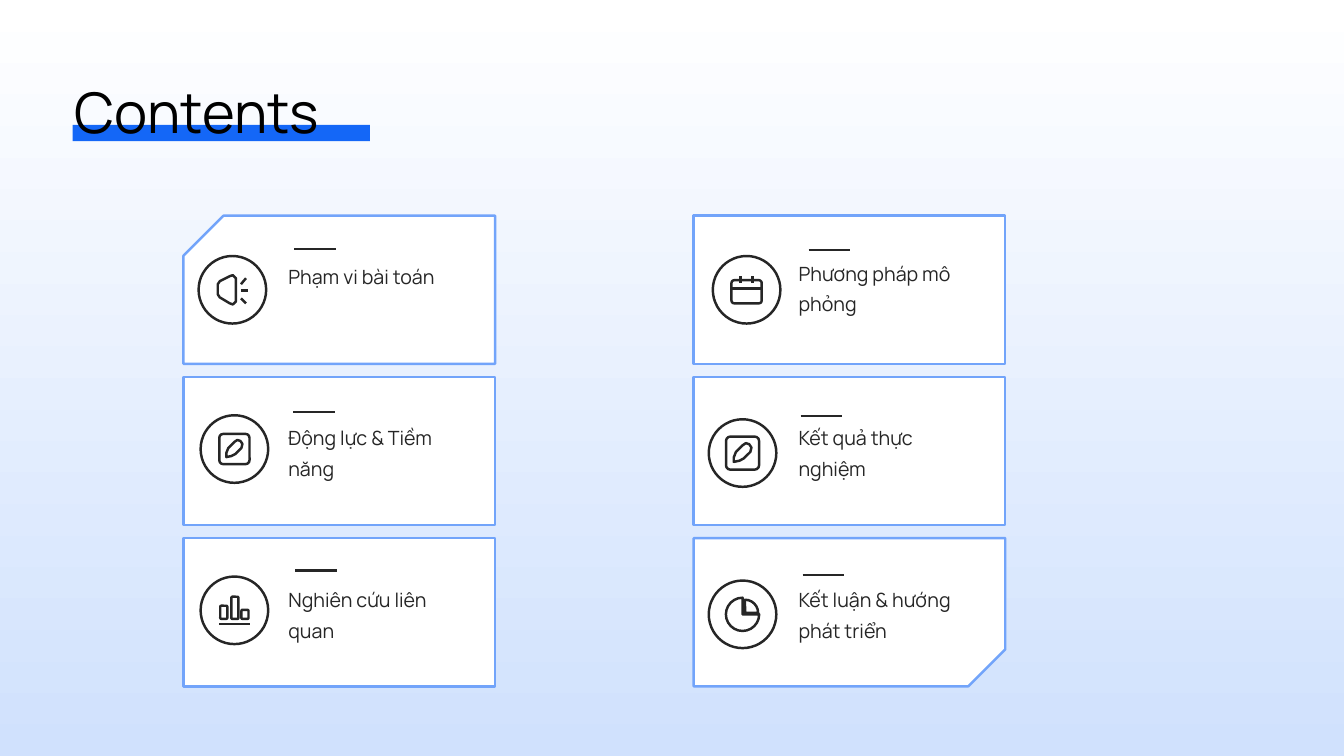
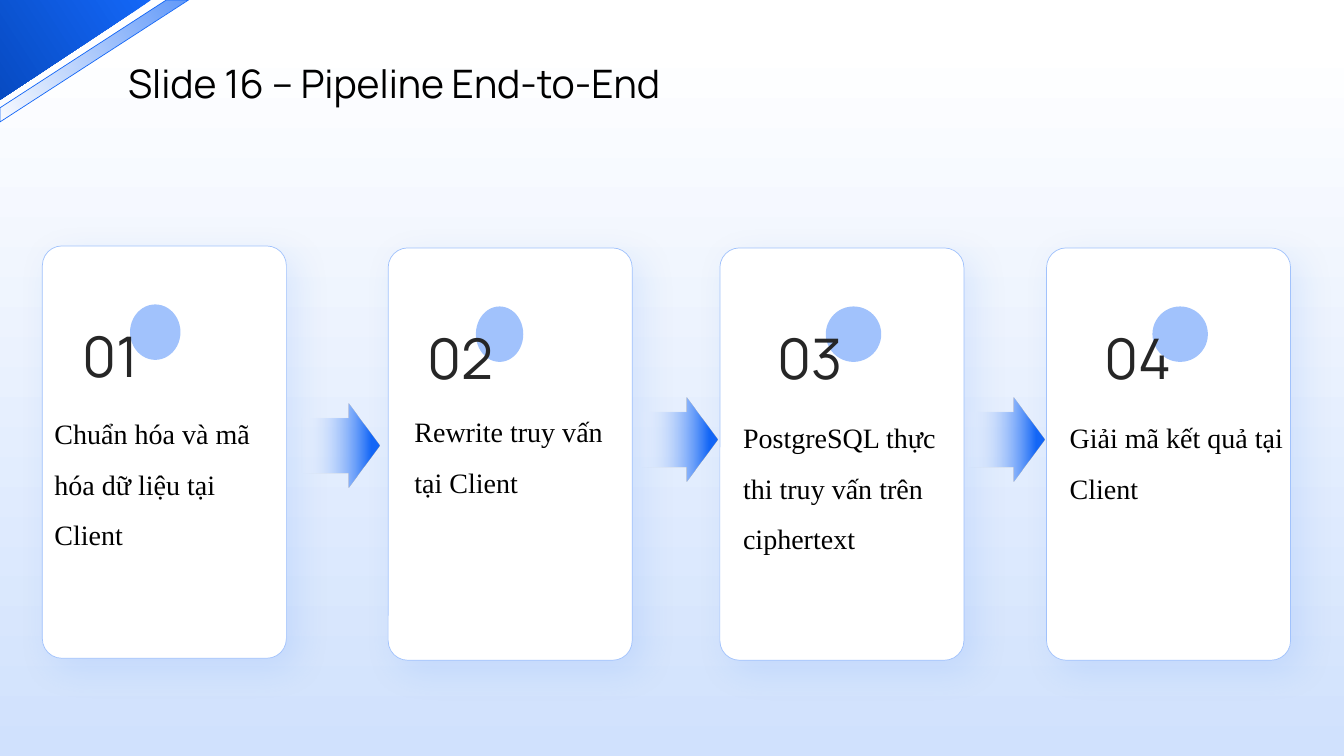
from lxml.etree import SubElement
from pptx import Presentation
from pptx.dml.color import RGBColor
from pptx.enum.shapes import MSO_CONNECTOR as Link, MSO_SHAPE as Preset
from pptx.enum.text import MSO_ANCHOR as Anchor
from pptx.oxml import parse_xml
from pptx.oxml.ns import nsdecls, qn
from pptx.util import Emu, Pt

# Shared look
EMU_PER_PX = 9144  # 100 px to the inch
PAGE_WIDTH, PAGE_HEIGHT = 1333, 750
WHITE = RGBColor(0xFF, 0xFF, 0xFF)
BLACK = RGBColor(0x00, 0x00, 0x00)
INK = RGBColor(0x26, 0x26, 0x26)
BLUE = RGBColor(0x14, 0x67, 0xF7)
DEEP_BLUE = RGBColor(0x07, 0x4B, 0xC2)
CARD_BLUE = RGBColor(0x72, 0xA4, 0xFA)
SOFT_BLUE = RGBColor(0xA1, 0xC2, 0xFC)
PALE_BLUE = RGBColor(0xD0, 0xE1, 0xFD)
SANS, SERIF = "Manrope", "Times New Roman"

# Contents cards
CARD_WIDTH, CARD_HEIGHT = 309, 147
COLUMN_LEFTS = (182, 688)
FIRST_ROW, ROW_STEP = 214, 160
BADGE = 67
# column, row, label, icon, icon width, offsets of badge and rule, label top and height
CONTENTS = [
    (0, 0, "Phạm vi bài toán", "megaphone", 33, (15, 40), (110, 33), 44, 25),
    (0, 1, "Động lực & Tiềm năng", "pencil", 32, (17, 38), (109, 35), 47, 50),
    (0, 2, "Nghiên cứu liên quan", "bars", 32, (17, 38), (111, 32), 48, 50),
    (1, 0, "Phương pháp mô phỏng", "calendar", 32, (19, 40), (114, 34), 44, 50),
    (1, 1, "Kết quả thực nghiệm", "pencil", 35, (15, 42), (106, 39), 47, 50),
    (1, 2, "Kết luận & hướng phát triển", "pie", 35, (15, 42), (108, 36), 48, 50),
]
# Cut corners by column and row: flip and share of the card height
CUT_CORNERS = {(0, 0): ("flipH", 0.27), (1, 2): ("flipV", 0.25)}

# Icons: grid width, grid height, strokes
ICONS = {
    "megaphone": (33, 31, [
        ("outline", (2, 10), (4, 7), (14, 2), (17, 1), (20, 4), (20, 27),
         (17, 30), (14, 29), (4, 23), (2, 20)),
        ("stroke", (25, 10), (30, 4)),
        ("stroke", (25, 16), (32, 16)),
        ("stroke", (25, 24), (30, 29))]),
    "pencil": (32, 32, [
        ("round", (1, 1), (30, 30), 0.13),
        ("outline", (8, 24), (8, 20), (10, 15), (16, 9), (19, 7), (22, 8),
         (24, 11), (23, 15), (17, 21), (13, 23))]),
    "bars": (32, 29, [
        ("round", (2, 10), (7, 13), 0.15),
        ("round", (13, 1), (7, 22), 0.15),
        ("round", (23, 14), (7, 9), 0.15),
        ("stroke", (1, 28), (31, 28))]),
    "calendar": (32, 29, [
        ("round", (1, 5), (30, 23), 0.12),
        ("stroke", (1, 13), (31, 13)),
        ("stroke", (10, 1), (10, 8)),
        ("stroke", (22, 1), (22, 8))]),
    "pie": (35, 35, [
        ("pie", (1, 1), (33, 33), 0, 162),
        ("pie", (7, 3), (26, 26), 162, 0)]),
}

# Pipeline cards: card corner, disc left and width, number left, text offset and width
STEP_WIDTH, STEP_HEIGHT = 242, 409
STEPS = [
    ((42, 244), 87, 50, 40, (12, 153), 211, "Chuẩn hóa và mã hóa dữ liệu tại Client"),
    ((385, 246), 87, 47, 39, (26, 149), 205, "Rewrite truy vấn tại Client"),
    ((714, 246), 105, 55, 57, (23, 155), 214, "PostgreSQL thực thi truy vấn trên ciphertext"),
    ((1038, 246), 105, 55, 57, (23, 155), 214, "Giải mã kết quả tại Client"),
]
ARROW_CORNERS = [(290, 401), (626, 395), (950, 395)]


def px(length):
    return Emu(round(length * EMU_PER_PX))


def paint(shape, fill=None, line=None, width=1.75):
    shape.shadow.inherit = False
    if fill is None:
        shape.fill.background()
    else:
        shape.fill.solid()
        shape.fill.fore_color.rgb = fill
    if line is None:
        shape.line.fill.background()
    else:
        shape.line.color.rgb = line
        shape.line.width = Pt(width)
    return shape


def add_preset(page, preset, left, top, width, height, fill=None, line=None, weight=1.75):
    shape = page.shapes.add_shape(preset, px(left), px(top), px(width), px(height))
    return paint(shape, fill, line, weight)


def add_outline(page, points, fill=None, line=None, weight=1.75):
    start, *others = [(px(x), px(y)) for x, y in points]
    builder = page.shapes.build_freeform(*start)
    builder.add_line_segments(others, close=True)
    return paint(builder.convert_to_shape(), fill, line, weight)


def add_stroke(page, start, end, weight=1.75):
    stroke = page.shapes.add_connector(Link.STRAIGHT, *map(px, (*start, *end)))
    stroke.line.color.rgb = INK
    stroke.line.width = Pt(weight)
    SubElement(stroke._element.spPr, qn("a:effectLst"))


def add_text(page, left, top, width, height, text, size, color,
             font=SANS, spacing=1.1, anchor=Anchor.MIDDLE):
    box = page.shapes.add_textbox(px(left), px(top), px(width), px(height))
    frame = box.text_frame
    frame.word_wrap = True
    frame.vertical_anchor = anchor
    frame.margin_left = frame.margin_right = frame.margin_top = frame.margin_bottom = 0
    frame.text = text
    para = frame.paragraphs[0]
    para.line_spacing = spacing
    span = para.runs[0].font
    span.name, span.size, span.color.rgb = font, Pt(size), color


def set_gradient(fill, element, stops, angle):
    """Each stop is (position, colour, opacity), all shares of 1; angle is clockwise."""
    fill.gradient()
    fill.gradient_angle = (360 - angle) % 360
    marks = element.xpath(".//a:gradFill/a:gsLst/a:gs")
    for stop, mark, (position, color, opacity) in zip(fill.gradient_stops, marks, stops):
        stop.position = position
        stop.color.rgb = color
        if opacity < 1:
            SubElement(mark[0], qn("a:alpha"), val=str(round(opacity * 100000)))


def add_soft_shadow(shape):
    effects = shape._element.spPr.find(qn("a:effectLst"))
    effects.append(parse_xml(
        f'<a:outerShdw {nsdecls("a")} blurRad="{Pt(25)}" dist="{Pt(10)}" dir="2700000" '
        f'algn="tl" rotWithShape="0"><a:srgbClr val="{BLUE}"><a:alpha val="10000"/>'
        '</a:srgbClr></a:outerShdw>'))


def add_page(deck, gradient_start=0.0):
    page = deck.slides.add_slide(deck.slide_layouts[6])
    set_gradient(page.background.fill, page._element,
                 [(gradient_start, WHITE, 1), (1, PALE_BLUE, 1)], 90)
    return page


def draw_icon(page, name, left, top, unit):
    def place(point):
        return left + point[0] * unit, top + point[1] * unit

    for kind, *parts in ICONS[name][2]:
        if kind == "stroke":
            add_stroke(page, *map(place, parts))
        elif kind == "outline":
            add_outline(page, map(place, parts), line=INK)
        else:
            corner, size, *adjustments = parts
            preset = Preset.PIE if kind == "pie" else Preset.ROUNDED_RECTANGLE
            shape = add_preset(page, preset, *place(corner),
                               *(length * unit for length in size), line=INK)
            for index, value in enumerate(adjustments):
                shape.adjustments[index] = value


def draw_contents_card(page, column, row, label, icon, icon_width, badge, rule,
                       label_top, label_height):
    left, top = COLUMN_LEFTS[column], FIRST_ROW + row * ROW_STEP
    # Panel
    cut = CUT_CORNERS.get((column, row))
    panel = add_preset(page, Preset.SNIP_1_RECTANGLE if cut else Preset.RECTANGLE,
                       left, top, CARD_WIDTH, CARD_HEIGHT, WHITE, CARD_BLUE)
    if cut:
        flip, panel.adjustments[0] = cut
        panel._element.spPr.xfrm.set(flip, "1")
    # Icon centred in its badge
    badge_left, badge_top = left + badge[0], top + badge[1]
    add_preset(page, Preset.OVAL, badge_left, badge_top, BADGE, BADGE, line=INK)
    grid_width, grid_height, _ = ICONS[icon]
    unit = icon_width / grid_width
    draw_icon(page, icon, badge_left + (BADGE - icon_width) / 2,
              badge_top + (BADGE - grid_height * unit) / 2, unit)
    # Rule and label
    rule_left, rule_top = left + rule[0], top + rule[1]
    add_stroke(page, (rule_left, rule_top), (rule_left + 41, rule_top), 1.5)
    add_text(page, left + 104, top + label_top, 182, label_height, label, 14, INK, spacing=1.3)


def draw_step(page, number, corner, disc_left, disc_width, number_left,
              text_offset, text_width, text):
    left, top = corner
    card = add_preset(page, Preset.ROUNDED_RECTANGLE, left, top,
                      STEP_WIDTH, STEP_HEIGHT, WHITE, SOFT_BLUE, 0.5)
    card.adjustments[0] = 0.08
    add_soft_shadow(card)
    add_preset(page, Preset.OVAL, left + disc_left, top + 58, disc_width, 55, SOFT_BLUE)
    add_text(page, left + number_left, top + 68, 94, 74, f"{number:02}", 40, INK)
    add_text(page, left + text_offset[0], top + text_offset[1], text_width, 173, text,
             20, BLACK, SERIF, 1.5, Anchor.TOP)


def draw_arrow(page, left, top):
    arrow = add_preset(page, Preset.RIGHT_ARROW, left, top, 86, 83)
    arrow.adjustments[0], arrow.adjustments[1] = 0.65, 0.37
    set_gradient(arrow.fill, arrow._element, [(0.1, WHITE, 0), (0.9, BLUE, 1)], 0)


def draw_corner(page):
    wedge = add_outline(page, [(0, 0), (150, 0), (0, 99)])
    set_gradient(wedge.fill, wedge._element, [(0, BLUE, 1), (1, DEEP_BLUE, 1)], 147)
    band = add_outline(page, [(165, 0), (187, 0), (0, 121), (0, 107)], line=BLUE, weight=0.5)
    set_gradient(band.fill, band._element, [(0, BLUE, 0.68), (1, BLUE, 0)], 147)


def build_contents(deck):
    page = add_page(deck)
    add_preset(page, Preset.RECTANGLE, 72, 124, 295, 16, BLUE)
    add_text(page, 74, 79, 381, 56, "Contents", 40, BLACK)
    for card in CONTENTS:
        draw_contents_card(page, *card)


def build_pipeline(deck):
    page = add_page(deck, 0.05)
    draw_corner(page)
    add_text(page, 127, 43, 842, 65, "Slide 16 – Pipeline End-to-End", 28, BLACK, spacing=1.3)
    for number, step in enumerate(STEPS, 1):
        draw_step(page, number, *step)
    for corner in ARROW_CORNERS:
        draw_arrow(page, *corner)


def main():
    deck = Presentation()
    deck.slide_width, deck.slide_height = px(PAGE_WIDTH), px(PAGE_HEIGHT)
    build_contents(deck)
    build_pipeline(deck)
    deck.save("out.pptx")


if __name__ == "__main__":
    main()
